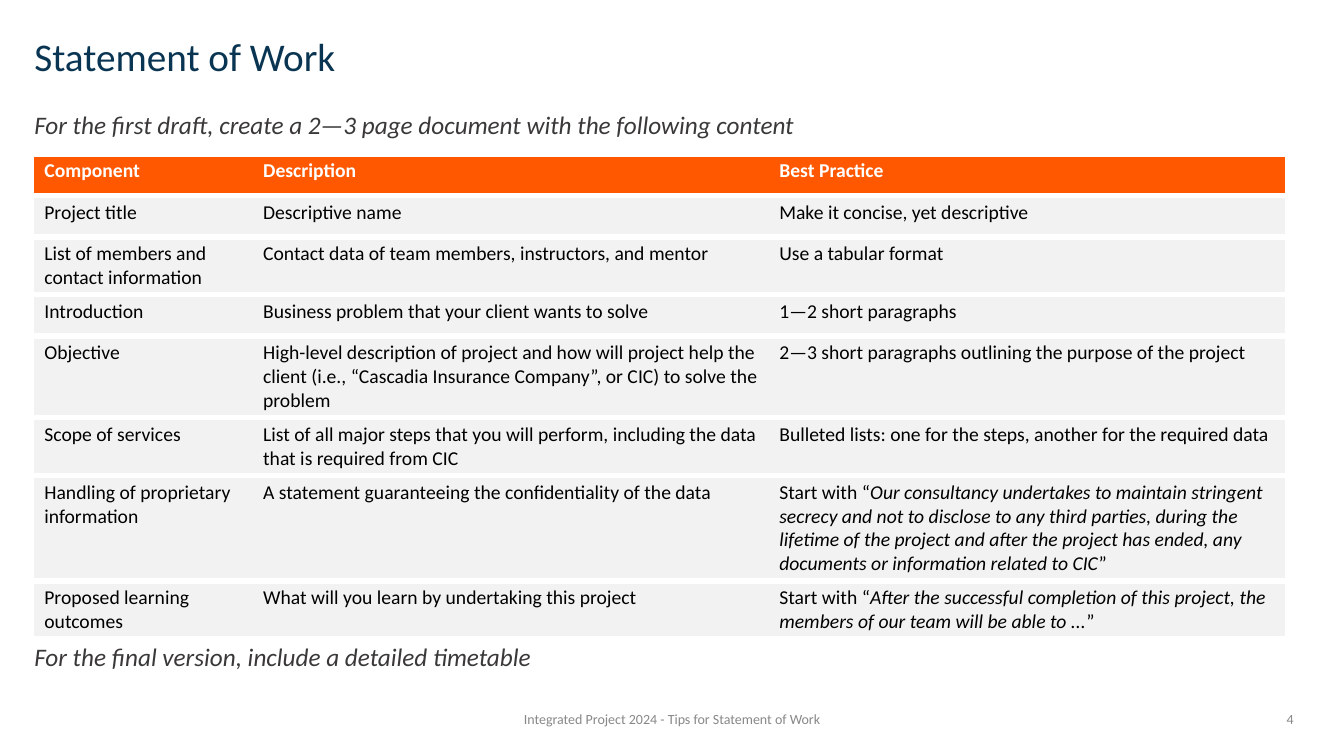
from lxml import etree
from pptx import Presentation
from pptx.dml.color import RGBColor
from pptx.enum.text import MSO_ANCHOR, MSO_AUTO_SIZE, PP_ALIGN
from pptx.oxml import parse_xml
from pptx.oxml.ns import nsdecls, qn
from pptx.util import Inches, Pt

LEFT, CENTER, RIGHT = PP_ALIGN.LEFT, PP_ALIGN.CENTER, PP_ALIGN.RIGHT
MIDDLE, TOP = MSO_ANCHOR.MIDDLE, MSO_ANCHOR.TOP
NO_FIT = MSO_AUTO_SIZE.NONE

FONT = "Calibri"
NAVY, CHARCOAL, GREY = "093552", "3A3838", "888888"
ORANGE, PALE, WHITE, BLACK = "FF5800", "F2F2F2", "FFFFFF", "000000"

COL_WIDTHS = (2.17, 5.12, 5.12)
ROW_HEIGHT, OBJECTIVE_HEIGHT = 0.41, 0.63

HEADER = ("Component", "Description", "Best Practice")
# A tuple inside a row holds plain, italic and plain text in turn.
ROWS = (
    ("Project title", "Descriptive name", "Make it concise, yet descriptive"),
    ("List of members and contact information",
     "Contact data of team members, instructors, and mentor",
     "Use a tabular format"),
    ("Introduction", "Business problem that your client wants to solve",
     "1—2 short paragraphs"),
    ("Objective",
     "High-level description of project and how will project help the client "
     "(i.e., “Cascadia Insurance Company”, or CIC) to solve the problem",
     "2—3 short paragraphs outlining the purpose of the project"),
    ("Scope of services",
     "List of all major steps that you will perform, including the data "
     "that is required from CIC",
     "Bulleted lists: one for the steps, another for the required data"),
    ("Handling of proprietary information",
     "A statement guaranteeing the confidentiality of the data",
     ("Start with “",
      "Our consultancy undertakes to maintain stringent secrecy and not to "
      "disclose to any third parties, during the lifetime of the project and "
      "after the project has ended, any documents or information related to CIC",
      "”")),
    ("Proposed learning outcomes",
     "What will you learn by undertaking this project",
     ("Start with “",
      "After the successful completion of this project, the members of our "
      "team will be able to ...",
      "”")),
)


def rgb(value):
    return RGBColor.from_string(value)


def add_run(p, text, size, color, bold=False, italic=False):
    r = p.add_run()
    r.text = text
    r.font.name, r.font.size = FONT, Pt(size)
    r.font.bold, r.font.italic = bold, italic
    r.font.color.rgb = rgb(color)


def place(sp, box, anchor):
    """Move a shape to its box and return its text frame."""
    sp.left, sp.top, sp.width, sp.height = map(Inches, box)
    tf = sp.text_frame
    tf.word_wrap, tf.auto_size, tf.vertical_anchor = True, NO_FIT, anchor
    return tf


def add_title(s, box):
    p = place(s.shapes.title, box, MIDDLE).paragraphs[0]
    p.alignment, p.line_spacing = LEFT, 0.9
    add_run(p, "Statement of Work", 28, NAVY)


def add_body(s, box):
    """Put one line above the table and one below it."""
    tf = place(s.placeholders[1], box, TOP)
    lines = (
        ("For the first draft, create a 2—3 page document with the following content", 0),
        ("For the final version, include a detailed timetable", 359),
    )
    for i, (text, before) in enumerate(lines):
        p = tf.add_paragraph() if i else tf.paragraphs[0]
        p.space_before = Pt(before)
        pPr = p._p.get_or_add_pPr()
        pPr.set("marL", "0")
        pPr.set("indent", "0")
        etree.SubElement(pPr, qn("a:buNone"))
        add_run(p, text, 18, CHARCOAL, italic=True)


def set_borders(cell):
    """White rules above and below, none at the sides."""
    tcPr = cell._tc.get_or_add_tcPr()
    rule = f'<a:solidFill><a:srgbClr val="{WHITE}"/></a:solidFill>'
    for side, fill in (("L", "<a:noFill/>"), ("R", "<a:noFill/>"), ("T", rule), ("B", rule)):
        tcPr.append(parse_xml(
            f'<a:ln{side} {nsdecls("a")} w="{Pt(4.5)}">{fill}</a:ln{side}>'))


def add_components_table(s, left, top):
    heights = [ROW_HEIGHT] * (len(ROWS) + 1)
    heights[4] = OBJECTIVE_HEIGHT
    table = s.shapes.add_table(
        len(heights), len(COL_WIDTHS), Inches(left), Inches(top),
        Inches(sum(COL_WIDTHS)), Inches(sum(heights))).table
    table.horz_banding = False
    for col, width in zip(table.columns, COL_WIDTHS):
        col.width = Inches(width)
    for i, (row, texts) in enumerate(zip(table.rows, (HEADER, *ROWS))):
        row.height = Inches(heights[i])
        is_header = i == 0
        for cell, text in zip(row.cells, texts):
            set_borders(cell)
            cell.fill.solid()
            cell.fill.fore_color.rgb = rgb(ORANGE if is_header else PALE)
            pieces = (text,) if isinstance(text, str) else text
            for j, piece in enumerate(pieces):
                add_run(cell.text_frame.paragraphs[0], piece, 14,
                        WHITE if is_header else BLACK, is_header, j == 1)


def add_footer(s, top, height):
    for left, width, align, text in (
        (4.03, 5.27, CENTER, "Integrated Project 2024 - Tips for Statement of Work"),
        (9.82, 3.11, RIGHT, "4"),
    ):
        sp = s.shapes.add_textbox(0, 0, 0, 0)
        p = place(sp, (left, top, width, height), MIDDLE).paragraphs[0]
        p.alignment = align
        add_run(p, text, 10, GREY)


def main():
    prs = Presentation()
    prs.slide_width, prs.slide_height = Inches(13.33), Inches(7.5)
    s = prs.slides.add_slide(prs.slide_layouts[1])
    add_title(s, (0.24, 0.27, 12.67, 0.62))
    add_body(s, (0.24, 1.03, 12.67, 5.74))
    add_components_table(s, 0.34, 1.53)
    add_footer(s, 6.93, 0.4)
    prs.save("out.pptx")


if __name__ == "__main__":
    main()
